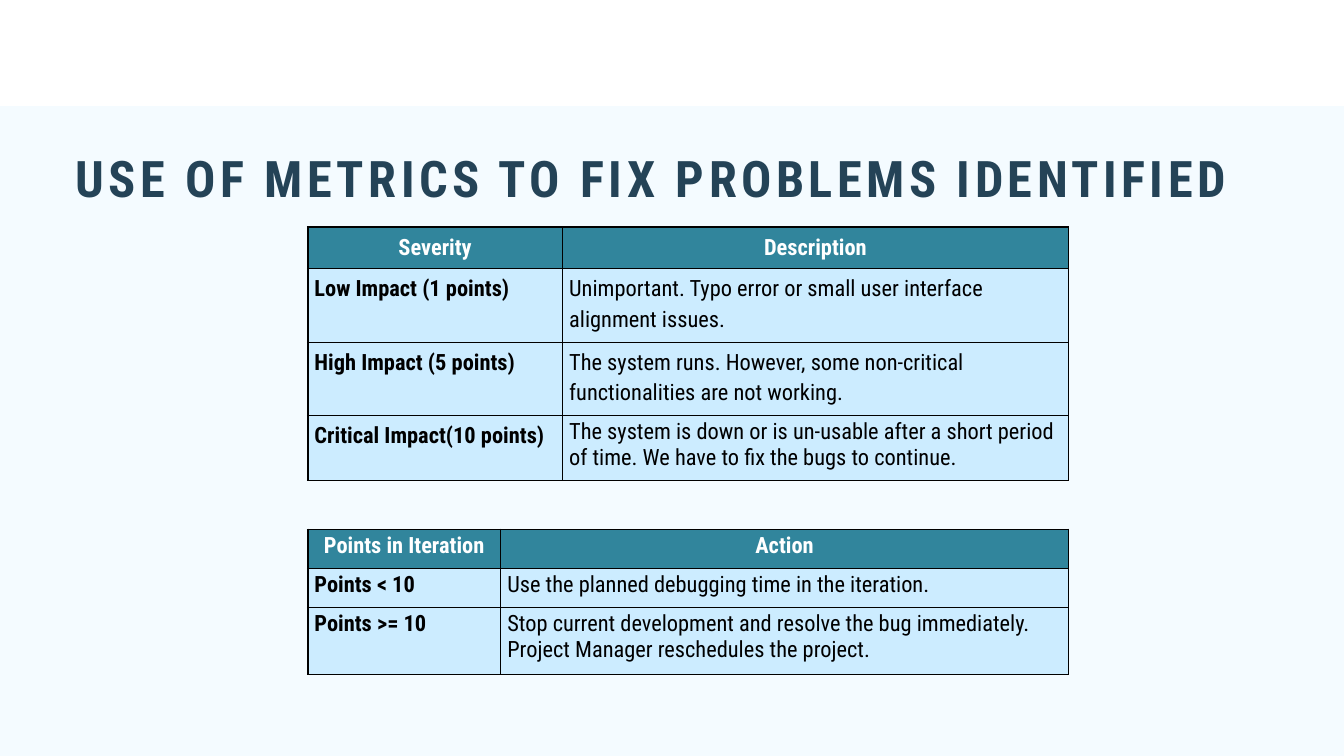
from lxml import etree
from pptx import Presentation
from pptx.dml.color import RGBColor
from pptx.enum.shapes import MSO_SHAPE
from pptx.enum.text import MSO_ANCHOR, PP_ALIGN
from pptx.oxml.ns import qn
from pptx.util import Inches, Pt

RECTANGLE = MSO_SHAPE.RECTANGLE
TOP = MSO_ANCHOR.TOP
LEFT, CENTER = PP_ALIGN.LEFT, PP_ALIGN.CENTER

FONT = "Roboto Condensed"
NAVY = RGBColor(0x24, 0x43, 0x57)
TEAL = RGBColor(0x31, 0x85, 0x9C)
SKY = RGBColor(0xCC, 0xEC, 0xFF)
PALE = RGBColor(0xF2, 0xFA, 0xFF)
WHITE = RGBColor(0xFF, 0xFF, 0xFF)
BLACK = RGBColor(0, 0, 0)

TITLE = "USE OF METRICS TO FIX PROBLEMS IDENTIFIED"
TABLE_LEFT = 4.58
TABLES = [
    {
        "top": 3.38,
        "widths": [3.79, 7.53],
        "heights": [0.62, 1.09, 1.09, 0.97],
        "loose_cells": 7,  # cells, in reading order, with wider line spacing
        "rows": [
            ("Severity", "Description"),
            ("Low Impact (1 points)",
             "Unimportant. Typo error or small user interface alignment issues."),
            ("High Impact (5 points)",
             "The system runs. However, some non-critical functionalities are not working."),
            ("Critical Impact(10 points)",
             "The system is down or is un-usable after a short period of time. "
             "We have to fix the bugs to continue."),
        ],
    },
    {
        "top": 7.88,
        "widths": [2.87, 8.45],
        "heights": [0.58, 0.58, 1],
        "loose_cells": 0,
        "rows": [
            ("Points in Iteration", "Action"),
            ("Points < 10", "Use the planned debugging time in the iteration."),
            ("Points >= 10",
             "Stop current development and resolve the bug immediately. "
             "Project Manager reschedules the project."),
        ],
    },
]


def add_solid_fill(parent, color):
    fill = etree.SubElement(parent, qn("a:solidFill"))
    etree.SubElement(fill, qn("a:srgbClr"), val=str(color))


def set_borders(cell, outer):
    """Draw 2 pt lines on the sides named in outer and 1 pt lines elsewhere."""
    tcPr = cell._tc.get_or_add_tcPr()
    for side in "LRTB":
        width = Pt(2 if side in outer else 1)
        ln = etree.SubElement(tcPr, qn(f"a:ln{side}"), w=str(width))
        add_solid_fill(ln, BLACK)


def add_background_band(slide):
    sp = slide.shapes.add_shape(
        RECTANGLE, Inches(-0.43), Inches(1.58), Inches(20.85), Inches(10.21))
    sp.shadow.inherit = False
    sp.line.fill.background()
    sp.fill.solid()
    sp.fill.fore_color.rgb = PALE
    color = sp._element.spPr.find(".//" + qn("a:srgbClr"))
    etree.SubElement(color, qn("a:alpha"), val="80000")
    slide.shapes._spTree.insert(2, sp._element)  # behind the title


def fill_title(title):
    title.left, title.top = Inches(1.12), Inches(2.36)
    title.width, title.height = Inches(17.62), Inches(0.73)
    tf = title.text_frame
    tf.margin_left = tf.margin_right = tf.margin_top = tf.margin_bottom = 0
    tf.vertical_anchor = TOP
    tf.word_wrap = True
    p = tf.paragraphs[0]
    p.alignment = LEFT
    p.line_spacing = Pt(52.1)
    p.space_before = Pt(0)
    r = p.add_run()
    r.text = TITLE
    r.font.name, r.font.size, r.font.bold = FONT, Pt(54), True
    r.font.color.rgb = NAVY
    r.font._element.set("spc", "480")


def add_metric_table(slide, data):
    rows, widths, heights = data["rows"], data["widths"], data["heights"]
    table = slide.shapes.add_table(
        len(rows), len(widths), Inches(TABLE_LEFT), Inches(data["top"]),
        Inches(sum(widths)), Inches(sum(heights))).table
    for column, width in zip(table.columns, widths):
        column.width = Inches(width)
    for row, height in zip(table.rows, heights):
        row.height = Inches(height)

    last_row, last_col = len(rows) - 1, len(widths) - 1
    for i, row in enumerate(rows):
        for j, text in enumerate(row):
            cell = table.cell(i, j)
            header = i == 0
            edges = {"T": header, "B": i == last_row, "L": j == 0, "R": j == last_col}
            set_borders(cell, [side for side, is_outer in edges.items() if is_outer])
            cell.fill.solid()
            cell.fill.fore_color.rgb = TEAL if header else SKY
            cell.text = text
            p = cell.text_frame.paragraphs[0]
            p.alignment = CENTER if header else LEFT
            if i * len(widths) + j < data["loose_cells"]:
                p.line_spacing = 1.15
            p.font.name, p.font.size = FONT, Pt(24)
            p.font.bold = header or j == 0
            p.font.color.rgb = WHITE if header else BLACK


def main():
    prs = Presentation()
    prs.slide_width, prs.slide_height = Inches(20), Inches(11.25)
    slide = prs.slides.add_slide(prs.slide_layouts[5])
    add_background_band(slide)
    fill_title(slide.shapes.title)
    for data in TABLES:
        add_metric_table(slide, data)
    prs.save("out.pptx")


if __name__ == "__main__":
    main()
